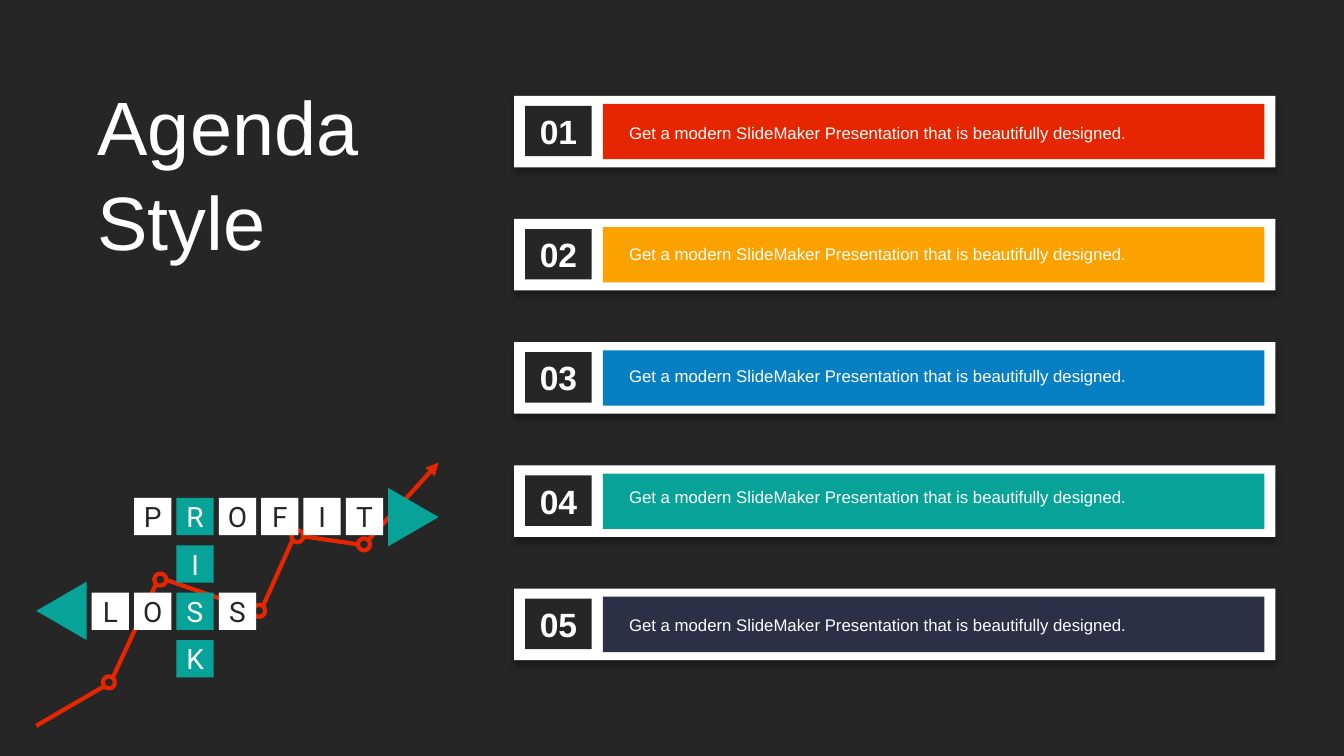
from lxml import etree
from pptx import Presentation
from pptx.dml.color import RGBColor
from pptx.enum.shapes import MSO_CONNECTOR, MSO_SHAPE
from pptx.enum.text import MSO_ANCHOR, MSO_AUTO_SIZE, PP_ALIGN
from pptx.oxml.ns import qn
from pptx.util import Inches, Pt

RECT = MSO_SHAPE.RECTANGLE
OVAL = MSO_SHAPE.OVAL
TRIANGLE = MSO_SHAPE.ISOSCELES_TRIANGLE
STRAIGHT = MSO_CONNECTOR.STRAIGHT
MIDDLE = MSO_ANCHOR.MIDDLE
TOP = MSO_ANCHOR.TOP
GROW = MSO_AUTO_SIZE.SHAPE_TO_FIT_TEXT
CENTER = PP_ALIGN.CENTER
LEFT = PP_ALIGN.LEFT

COLORS = {
    "dark": "262626",
    "white": "FFFFFF",
    "red": "E62601",
    "orange": "FBA200",
    "blue": "0680C3",
    "teal": "07A398",
    "navy": "2C2F45",
    "black": "000000",
}
AGENDA_TEXT = "Get a modern SlideMaker Presentation that is beautifully designed."
AGENDA_ROWS = [("red", 1.17), ("orange", 2.37), ("blue", 3.58), ("teal", 4.78), ("navy", 6.05)]
AGENDA_TOP, AGENDA_BOTTOM = 0.95, 5.84
CROSSWORD_ROWS = [(1, "PROFIT"), (2, "I"), (0, "LOSS"), (2, "K")]
RISK_COLUMN = 2
TREND_MARKERS = [(3.55, 5.34), (1.53, 5.69), (2.89, 5.26), (1.02, 6.71), (2.51, 6)]
TREND_LINES = [
    (1.55, 5.79, 1.12, 6.72),
    (2.51, 6.05, 1.64, 5.75),
    (2.9, 5.36, 2.61, 6.01),
    (3, 5.32, 3.55, 5.4),
    (1.03, 6.81, 0.36, 7.2),
]
TREND_ARROW = (3.65, 5.36, 4.35, 4.59)


def rgb(name):
    return RGBColor.from_string(COLORS[name])


def add_block(shapes, kind, box, fill=None, line=None):
    sp = shapes.add_shape(kind, *map(Inches, box))
    sp.shadow.inherit = False
    if fill:
        sp.fill.solid()
        sp.fill.fore_color.rgb = rgb(fill)
    else:
        sp.fill.background()
    if line:
        sp.line.color.rgb = rgb(line)
        sp.line.width = Pt(3)
    else:
        sp.line.fill.background()
    return sp


def write(sp, text, size, color, font="Arial", bold=False, align=LEFT, anchor=MIDDLE):
    tf = sp.text_frame
    tf.word_wrap = True
    tf.vertical_anchor = anchor
    p = tf.paragraphs[0]
    p.alignment = align
    r = p.add_run()
    r.text = text
    r.font.name = font
    r.font.size = Pt(size)
    r.font.bold = bold
    r.font.color.rgb = rgb(color)
    return tf


def add_text(shapes, box, text, size, anchor):
    sp = shapes.add_textbox(*map(Inches, box))
    tf = write(sp, text, size, "white", anchor=anchor)
    tf.auto_size = GROW
    return tf


def add_drop_shadow(sp):
    effects = sp._element.spPr.find(qn("a:effectLst"))
    shadow = etree.SubElement(effects, qn("a:outerShdw"), blurRad=str(Pt(4)),
                              dist=str(Pt(4)), dir="5400000", algn="t", rotWithShape="0")
    color = etree.SubElement(shadow, qn("a:srgbClr"), val=COLORS["black"])
    etree.SubElement(color, qn("a:alpha"), val="30000")


def add_trend_line(shapes, ends, arrow=False):
    line = shapes.add_connector(STRAIGHT, *map(Inches, ends))
    line.line.color.rgb = rgb("red")
    line.line.width = Pt(3)
    if arrow:
        etree.SubElement(line.line._get_or_add_ln(), qn("a:tailEnd"), type="triangle")
    etree.SubElement(line._element.spPr, qn("a:effectLst"))


def add_trend(shapes):
    for left, top in TREND_MARKERS:
        add_block(shapes, OVAL, (left, top, 0.12, 0.12), line="red")
    for ends in TREND_LINES:
        add_trend_line(shapes, ends)
    add_trend_line(shapes, TREND_ARROW, arrow=True)


def add_tile(shapes, column, row, letter):
    fill, color = ("teal", "white") if column == RISK_COLUMN else ("white", "dark")
    box = (0.91 + 0.42 * column, 4.94 + 0.47 * row, 0.37, 0.37)
    sp = add_block(shapes, RECT, box, fill)
    write(sp, letter, 20, color, font="Roboto", align=CENTER)
    tf = sp.text_frame
    tf.margin_left = tf.margin_right = tf.margin_top = tf.margin_bottom = 0


def add_crossword(shapes):
    for row, (start, word) in enumerate(CROSSWORD_ROWS):
        for column, letter in enumerate(word, start):
            add_tile(shapes, column, row, letter)
    for left, top, angle in [(3.81, 4.88, 90), (0.32, 5.81, 270)]:
        sp = add_block(shapes, TRIANGLE, (left, top, 0.58, 0.5), "teal")
        sp.rotation = angle


def add_agenda_row(shapes, number, top, color, text_top):
    frame = add_block(shapes, RECT, (5.1, top, 7.55, 0.71), "white")
    add_drop_shadow(frame)
    add_block(shapes, RECT, (5.98, top + 0.08, 6.56, 0.55), color)
    add_block(shapes, RECT, (5.21, top + 0.08, 0.67, 0.55), "white")
    badge = add_block(shapes, RECT, (5.21, top + 0.1, 0.66, 0.5), "dark")
    tf = write(badge, f"{number:02d}", 24, "white", bold=True, align=CENTER)
    tf.auto_size = GROW
    add_text(shapes, (6.14, text_top, 6.28, 0.3), AGENDA_TEXT, 12, TOP)


def main():
    prs = Presentation()
    prs.slide_width = Inches(13.33)
    prs.slide_height = Inches(7.5)
    s = prs.slides.add_slide(prs.slide_layouts[6])
    s.background.fill.solid()
    s.background.fill.fore_color.rgb = rgb("dark")

    title = add_text(s.shapes, (0.87, 0.73, 2.97, 1.92), "Agenda Style", 54, MIDDLE)
    title.paragraphs[0].line_spacing = 1.05
    add_trend(s.shapes.add_group_shape().shapes)
    add_crossword(s.shapes.add_group_shape().shapes)
    pitch = (AGENDA_BOTTOM - AGENDA_TOP) / (len(AGENDA_ROWS) - 1)
    for i, (color, text_top) in enumerate(AGENDA_ROWS):
        row = s.shapes.add_group_shape().shapes
        add_agenda_row(row, i + 1, AGENDA_TOP + pitch * i, color, text_top)
    prs.save("out.pptx")


if __name__ == "__main__":
    main()
